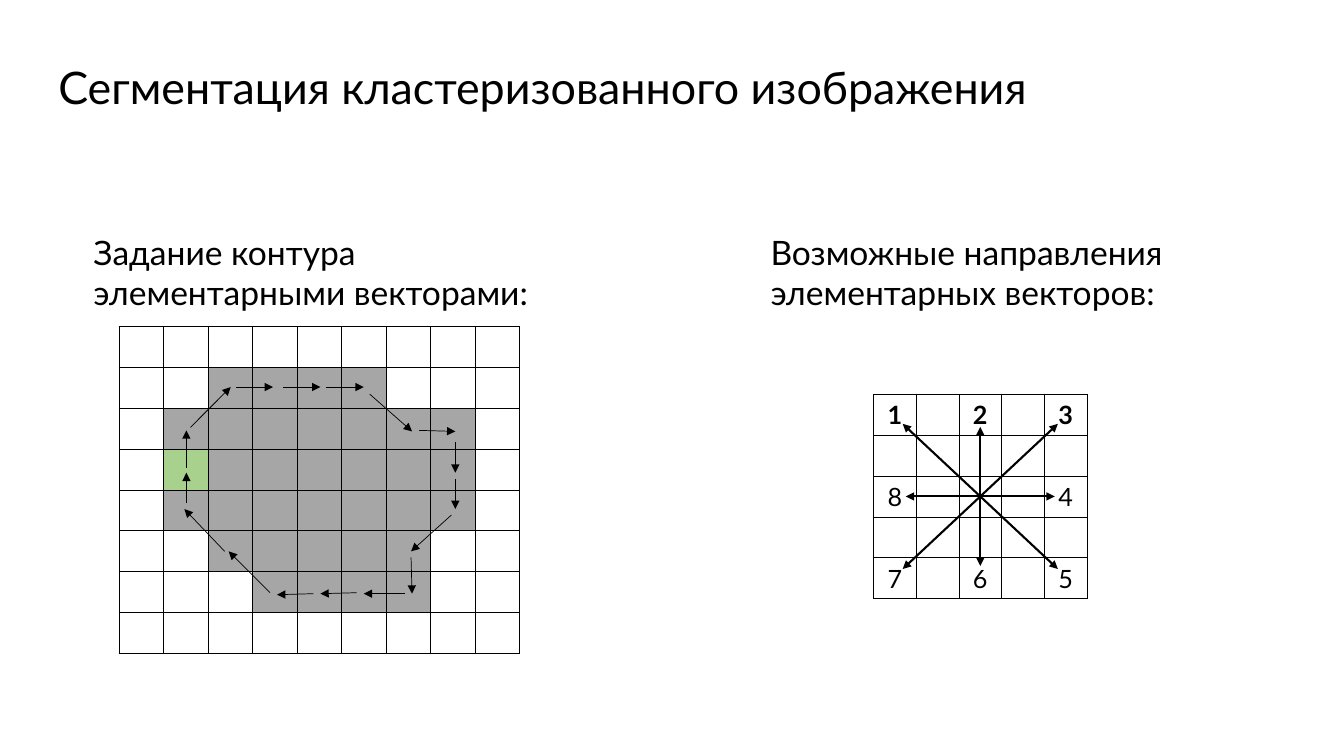
from lxml.etree import SubElement
from pptx import Presentation
from pptx.dml.color import RGBColor
from pptx.enum.shapes import MSO_CONNECTOR
from pptx.enum.text import MSO_ANCHOR, PP_ALIGN
from pptx.oxml.ns import qn
from pptx.util import Inches, Pt

FONT = "Lato"
COLORS = {"ink": "000000", "region": "A6A6A6", "start": "A9D18E"}

TITLE = "Сегментация кластеризованного изображения"
CONTOUR_CAPTION = ["Задание контура", "элементарными векторами:"]
DIRECTIONS_CAPTION = ["Возможные направления", "элементарных векторов:"]

# "#" is a cell of the region, "S" is the cell where the contour starts
REGION = [
    ".........",
    "..####...",
    ".#######.",
    ".S######.",
    ".#######.",
    "..#####..",
    "...####..",
    ".........",
]
REGION_FILLS = {"#": COLORS["region"], "S": COLORS["start"]}
REGION_BOX = (1.18, 3.24, 3.98, 3.24)

# Contour vectors, clockwise from the start cell: x1, y1, x2, y2
CONTOUR = [
    (1.85, 4.99, 1.85, 4.69), (1.85, 4.64, 1.85, 4.27),
    (1.89, 4.24, 2.29, 3.84), (2.34, 3.84, 2.71, 3.84),
    (2.81, 3.84, 3.18, 3.84), (3.24, 3.84, 3.61, 3.84),
    (3.67, 3.91, 4.09, 4.28), (4.16, 4.27, 4.52, 4.28),
    (4.52, 4.39, 4.52, 4.69), (4.52, 4.75, 4.52, 5.05),
    (4.48, 5.11, 4.08, 5.47), (4.08, 5.53, 4.09, 5.89),
    (4.02, 5.89, 3.61, 5.89), (3.54, 5.88, 3.18, 5.89),
    (3.11, 5.89, 2.75, 5.9), (2.68, 5.88, 2.27, 5.47),
    (2.23, 5.47, 1.83, 5.05),
]

# Direction number: step in columns, step in rows
DIRECTIONS = {
    "1": (-1, -1), "2": (0, -1), "3": (1, -1), "4": (1, 0),
    "5": (1, 1), "6": (0, 1), "7": (-1, 1), "8": (-1, 0),
}
BOLD_DIRECTIONS = "123"
DIRECTIONS_BOX = (8.67, 3.91, 2.12, 2.03)
CENTER = (9.73, 4.925)
STRAIGHT_REACH = (0.74, 0.69)
DIAGONAL_REACH = (0.77, 0.72)


def color(name):
    return RGBColor.from_string(COLORS[name])


def style_paragraph(paragraph, size, bold=False):
    for run in paragraph.runs:
        run.font.name = FONT
        run.font.size = Pt(size)
        run.font.bold = bold
        run.font.color.rgb = color("ink")


def add_text(slide, box, lines, size, wrap=False):
    text_frame = slide.shapes.add_textbox(*map(Inches, box)).text_frame
    text_frame.word_wrap = wrap
    text_frame.text = "\n".join(lines)
    for paragraph in text_frame.paragraphs:
        style_paragraph(paragraph, size)
    return text_frame


def add_arrow(slide, start, end, width):
    arrow = slide.shapes.add_connector(
        MSO_CONNECTOR.STRAIGHT, *map(Inches, (*start, *end)))
    arrow.line.color.rgb = color("ink")
    arrow.line.width = Pt(width)
    SubElement(arrow.line._get_or_add_ln(), qn("a:tailEnd"), type="triangle")
    SubElement(arrow._element.spPr, qn("a:effectLst"))


def add_borders(cell):
    properties = cell._tc.get_or_add_tcPr()
    for side in ("lnL", "lnR", "lnT", "lnB"):
        border = SubElement(properties, qn(f"a:{side}"), w=str(Pt(0.45)))
        fill = SubElement(border, qn("a:solidFill"))
        SubElement(fill, qn("a:srgbClr"), val=COLORS["ink"])


def add_grid(slide, box, rows, columns):
    """Add a bordered table of equal, unfilled cells."""
    table = slide.shapes.add_table(rows, columns, *map(Inches, box)).table
    table.first_row = False
    table.horz_banding = False
    for cell in table.iter_cells():
        cell.margin_top = cell.margin_bottom = 0
        cell.vertical_anchor = MSO_ANCHOR.MIDDLE
        add_borders(cell)
        cell.fill.background()
    return table


def add_region(slide):
    table = add_grid(slide, REGION_BOX, len(REGION), len(REGION[0]))
    for row, marks in enumerate(REGION):
        for column, mark in enumerate(marks):
            if mark in REGION_FILLS:
                fill = table.cell(row, column).fill
                fill.solid()
                fill.fore_color.rgb = RGBColor.from_string(REGION_FILLS[mark])
    for x1, y1, x2, y2 in CONTOUR:
        add_arrow(slide, (x1, y1), (x2, y2), 0.5)


def add_directions(slide):
    table = add_grid(slide, DIRECTIONS_BOX, 5, 5)
    for number, (dx, dy) in DIRECTIONS.items():
        cell = table.cell(2 + 2 * dy, 2 + 2 * dx)
        cell.text_frame.text = number
        paragraph = cell.text_frame.paragraphs[0]
        paragraph.alignment = PP_ALIGN.CENTER
        style_paragraph(paragraph, 18, number in BOLD_DIRECTIONS)

        reach_x, reach_y = DIAGONAL_REACH if dx and dy else STRAIGHT_REACH
        tip = (CENTER[0] + dx * reach_x, CENTER[1] + dy * reach_y)
        add_arrow(slide, CENTER, tip, 1.5)


def main():
    presentation = Presentation()
    presentation.slide_width = Inches(13.34)
    presentation.slide_height = Inches(7.5)
    slide = presentation.slides.add_slide(presentation.slide_layouts[6])

    title = add_text(slide, (0.48, 0.43, 10.32, 0.93), [TITLE], 32, wrap=True)
    title.vertical_anchor = MSO_ANCHOR.MIDDLE
    title.paragraphs[0].line_spacing = 0.9

    add_region(slide)
    add_directions(slide)
    add_text(slide, (7.55, 2.25, 4.5, 0.9), DIRECTIONS_CAPTION, 24)
    add_text(slide, (0.83, 2.25, 4.83, 0.9), CONTOUR_CAPTION, 24)
    presentation.save("out.pptx")


if __name__ == "__main__":
    main()
